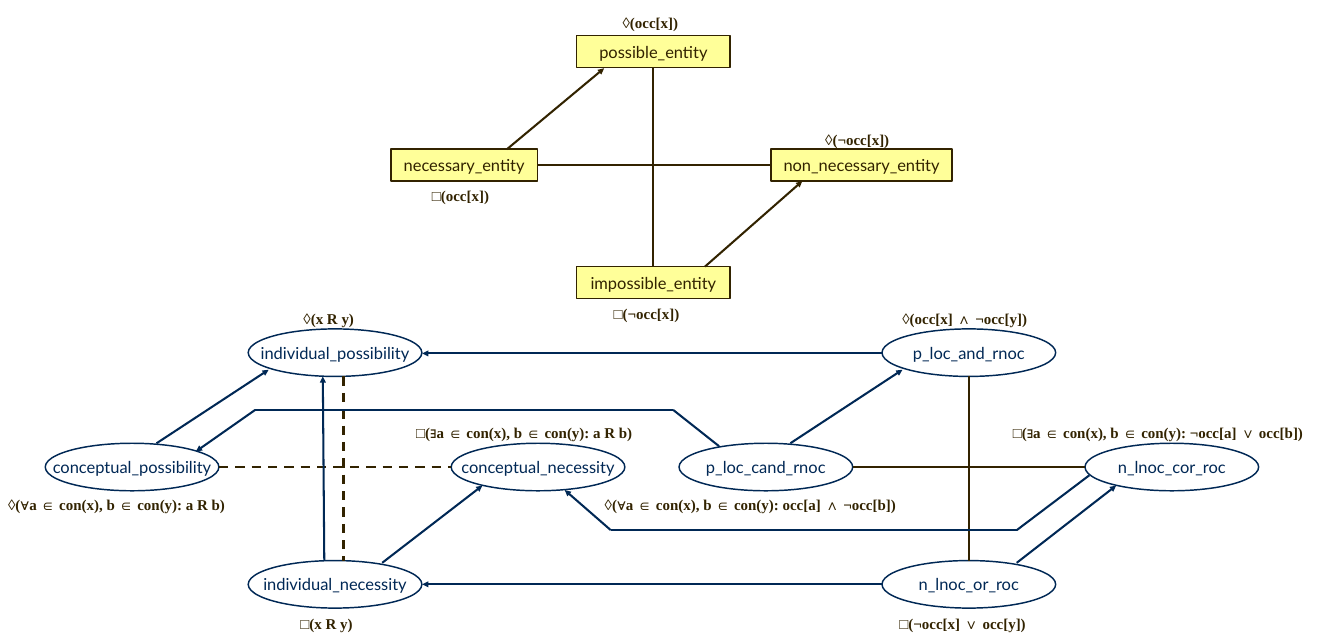
from dataclasses import dataclass

from lxml import etree
from pptx import Presentation
from pptx.dml.color import RGBColor
from pptx.enum.dml import MSO_LINE
from pptx.enum.shapes import MSO_CONNECTOR, MSO_SHAPE
from pptx.enum.text import MSO_ANCHOR, PP_ALIGN
from pptx.oxml.ns import qn
from pptx.util import Inches, Pt

RECTANGLE, OVAL = MSO_SHAPE.RECTANGLE, MSO_SHAPE.OVAL
STRAIGHT, DASH = MSO_CONNECTOR.STRAIGHT, MSO_LINE.DASH
CENTER, LEFT = PP_ALIGN.CENTER, PP_ALIGN.LEFT
MIDDLE, TOP = MSO_ANCHOR.MIDDLE, MSO_ANCHOR.TOP
TOP_SIDE, LEFT_SIDE, BOTTOM_SIDE, RIGHT_SIDE = range(4)


@dataclass(frozen=True)
class Theme:
    brown: RGBColor = RGBColor(0x32, 0x23, 0x00)
    navy: RGBColor = RGBColor(0x00, 0x28, 0x55)
    yellow: RGBColor = RGBColor(0xFF, 0xFF, 0x99)
    node_font: str = "Lato"
    formula_font: str = "Times New Roman"
    node_size: float = 16
    formula_size: float = 14.5
    outline: float = 1.42
    link: float = 1.98
    dashed_link: float = 2.27


def write_text(shape, text, font, size, color, bold=False, align=CENTER, anchor=MIDDLE, inset=0):
    frame = shape.text_frame
    frame.word_wrap = False
    frame.vertical_anchor = anchor
    frame.margin_left = frame.margin_right = Inches(inset)
    frame.margin_top = frame.margin_bottom = Inches(inset / 2)
    paragraph = frame.paragraphs[0]
    paragraph.alignment = align
    run = paragraph.add_run()
    run.text = text
    run.font.name, run.font.size, run.font.bold = font, Pt(size), bold
    run.font.color.rgb = color


class Diagram:
    def __init__(self, slide, theme):
        self.slide, self.theme = slide, theme

    def node(self, kind, text, left, top, width, height, color, fill=None):
        shape = self.slide.shapes.add_shape(
            kind, Inches(left), Inches(top), Inches(width), Inches(height))
        shape.shadow.inherit = False
        if fill is None:
            shape.fill.background()
        else:
            shape.fill.solid()
            shape.fill.fore_color.rgb = fill
        shape.line.color.rgb = color
        shape.line.width = Pt(self.theme.outline)
        write_text(shape, text, self.theme.node_font, self.theme.node_size, color)
        return shape

    def entity(self, text, left, top, width):
        return self.node(RECTANGLE, text, left, top, width, 0.43,
                         self.theme.brown, self.theme.yellow)

    def relation(self, text, left, top):
        return self.node(OVAL, text, left, top, 2.34, 0.64, self.theme.navy)

    def formula(self, text, left, top, width):
        box = self.slide.shapes.add_textbox(
            Inches(left), Inches(top), Inches(width), Inches(0.3))
        write_text(box, text, self.theme.formula_font, self.theme.formula_size,
                   self.theme.brown, bold=True, align=LEFT, anchor=TOP, inset=0.1)

    def line(self, start, end, color, arrow=False, dashed=False):
        connector = self.slide.shapes.add_connector(
            STRAIGHT, *(Inches(value) for value in (*start, *end)))
        connector.line.color.rgb = color
        connector.line.width = Pt(self.theme.dashed_link if dashed else self.theme.link)
        if dashed:
            connector.line.dash_style = DASH
        if arrow:
            outline = connector.line._get_or_add_ln()
            etree.SubElement(outline, qn("a:tailEnd"), type="triangle")
        etree.SubElement(connector._element.spPr, qn("a:effectLst"))
        return connector

    def arrow(self, color, *points):
        """Draw straight segments through the points, with a head at the last one."""
        for start, end in zip(points, points[1:]):
            self.line(start, end, color, arrow=end == points[-1])

    def join(self, first, first_side, second, second_side):
        connector = self.line((0, 0), (1, 1), self.theme.brown)
        connector.begin_connect(first, first_side)
        connector.end_connect(second, second_side)


# Left, middle and right columns of ovals, as offsets inside each diamond
COLUMNS = (0, 2.735, 5.47)
ROWS = (4.43, 5.97, 7.55)
DIAMONDS = (
    (0.61, ("individual_possibility", "conceptual_possibility",
            "conceptual_necessity", "individual_necessity")),
    (9.15, ("p_loc_and_rnoc", "p_loc_cand_rnoc", "n_lnoc_cor_roc", "n_lnoc_or_roc")),
)
DIAMOND_CELLS = ((1, 0), (0, 1), (2, 1), (1, 2))

FORMULAS = (
    ("◊(occ[x])", 8.29, 0.14, 1.05),
    ("◊(¬occ[x])", 11.02, 1.71, 1.19),
    ("□(occ[x])", 5.72, 2.47, 1.09),
    ("□(¬occ[x])", 8.17, 4.05, 1.23),
    ("◊(x R y)", 3.99, 4.12, 1.03),
    ("□(∃a ∈ con(x), b ∈ con(y): a R b)", 5.51, 5.66, 3.52),
    ("◊(∀a ∈ con(x), b ∈ con(y): a R b)", 0.01, 6.63, 3.5),
    ("□(x R y)", 3.95, 8.23, 1.07),
    ("◊(occ[x] ∧ ¬occ[y])", 12.06, 4.12, 2.03),
    ("□(∃a ∈ con(x), b ∈ con(y): ¬occ[a] ∨ occ[b])", 13.55, 5.66, 4.53),
    ("◊(∀a ∈ con(x), b ∈ con(y): occ[a] ∧ ¬occ[b])", 8.05, 6.63, 4.51),
    ("□(¬occ[x] ∨ occ[y])", 12.02, 8.23, 2.08),
)

ENTITY_ARROWS = (
    ((6.83, 2.01), (8.14, 0.92)),
    ((9.5, 3.59), (10.81, 2.44)),
)
RELATION_ARROWS = (
    ((4.37, 7.55), (4.35, 5.07)),
    ((2.11, 5.97), (3.62, 4.98)),
    ((5.15, 7.58), (6.5, 6.54)),
    ((10.65, 5.97), (12.16, 4.98)),
    ((13.7, 7.58), (15.04, 6.54)),
    ((11.89, 7.87), (5.69, 7.87)),
    ((11.89, 4.76), (5.69, 4.76)),
    ((9.69, 6.01), (9.07, 5.52), (3.44, 5.52), (2.64, 6.08)),
    ((14.68, 6.4), (13.7, 7.14), (8.23, 7.14), (7.61, 6.6)),
)
# Start, end, dashed
OPPOSITIONS = (
    ((4.63, 5.07), (4.63, 7.55), True),
    ((2.95, 6.29), (6.08, 6.29), True),
    ((13.06, 5.07), (13.06, 7.55), False),
    ((11.49, 6.29), (14.62, 6.29), False),
)


def main():
    presentation = Presentation()
    presentation.slide_width, presentation.slide_height = Inches(18.11), Inches(8.66)
    slide = presentation.slides.add_slide(presentation.slide_layouts[6])
    theme = Theme()
    diagram = Diagram(slide, theme)

    possible = diagram.entity("possible_entity", 7.77, 0.48, 2.07)
    impossible = diagram.entity("impossible_entity", 7.77, 3.59, 2.07)
    non_necessary = diagram.entity("non_necessary_entity", 10.39, 2.01, 2.44)
    necessary = diagram.entity("necessary_entity", 5.27, 2.01, 1.97)
    diagram.join(possible, BOTTOM_SIDE, impossible, TOP_SIDE)
    diagram.join(necessary, RIGHT_SIDE, non_necessary, LEFT_SIDE)

    for origin, names in DIAMONDS:
        for name, (column, row) in zip(names, DIAMOND_CELLS):
            diagram.relation(name, origin + COLUMNS[column], ROWS[row])

    for start, end, dashed in OPPOSITIONS:
        diagram.line(start, end, theme.brown, dashed=dashed)
    for points in ENTITY_ARROWS:
        diagram.arrow(theme.brown, *points)
    for points in RELATION_ARROWS:
        diagram.arrow(theme.navy, *points)
    for formula in FORMULAS:
        diagram.formula(*formula)

    presentation.save("out.pptx")


if __name__ == "__main__":
    main()
